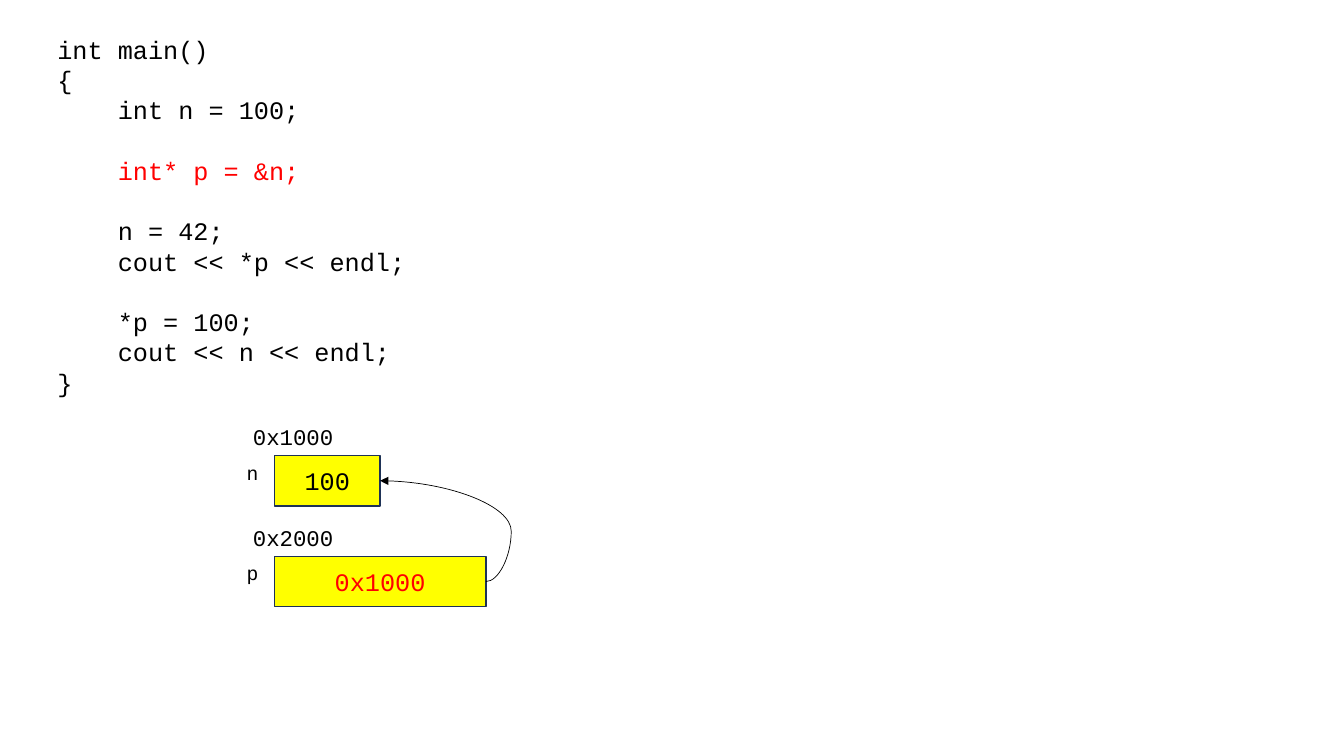
from lxml import etree
from pptx import Presentation
from pptx.dml.color import RGBColor
from pptx.enum.shapes import MSO_CONNECTOR, MSO_SHAPE
from pptx.enum.text import MSO_ANCHOR, PP_ALIGN
from pptx.oxml.ns import qn
from pptx.util import Inches, Pt

BLACK = RGBColor(0, 0, 0)
RED = RGBColor(0xFF, 0, 0)
YELLOW = RGBColor(0xFF, 0xFF, 0)
NAVY = RGBColor(0x1E, 0x32, 0x56)
FONT = "Courier New"
RIGHT_SIDE = 3
INDENT = Inches(0.6)
BLANK_LINE = Pt(21.6)

CODE = [
    ("int main()", 0, False, BLACK),
    ("{", 0, False, BLACK),
    ("int n = 100;", 1, False, BLACK),
    ("int* p = &n;", 1, True, RED),
    ("n = 42;", 1, True, BLACK),
    ("cout << *p << endl;", 1, False, BLACK),
    ("*p = 100;", 1, True, BLACK),
    ("cout << n << endl;", 1, False, BLACK),
    ("}", 0, False, BLACK),
]


def write(paragraph, text, size, color=BLACK, align=PP_ALIGN.LEFT):
    paragraph.text = text
    paragraph.alignment = align
    font = paragraph.runs[0].font
    font.name, font.size = FONT, Pt(size)
    font.color.rgb = color


def add_label(slide, box, text, size, align=PP_ALIGN.LEFT):
    frame = slide.shapes.add_textbox(*map(Inches, box)).text_frame
    frame.word_wrap = True
    write(frame.paragraphs[0], text, size, align=align)


def add_code(slide, box):
    frame = slide.shapes.add_textbox(*map(Inches, box)).text_frame
    frame.word_wrap = True
    for number, (text, level, gap, color) in enumerate(CODE):
        line = frame.add_paragraph() if number else frame.paragraphs[0]
        write(line, text, 18, color)
        if level:
            line._p.get_or_add_pPr().set("marL", str(level * INDENT))
        if gap:
            line.space_before = BLANK_LINE


def add_variable(slide, box, name, address, value, color):
    left, top, width, height = box
    cell = slide.shapes.add_shape(MSO_SHAPE.RECTANGLE, *map(Inches, box))
    cell.shadow.inherit = False
    cell.fill.solid()
    cell.fill.fore_color.rgb = YELLOW
    cell.line.color.rgb = NAVY
    cell.line.width = Pt(1)
    cell.text_frame.vertical_anchor = MSO_ANCHOR.MIDDLE
    write(cell.text_frame.paragraphs[0], value, 18, color, PP_ALIGN.CENTER)
    add_label(slide, (left - 0.42, top, 0.41, 0.34), name, 14, PP_ALIGN.CENTER)
    add_label(slide, (left - 0.31, top - 0.37, 1.12, 0.37), address, 16)
    return cell


def add_pointer(slide, source, target):
    arrow = slide.shapes.add_connector(MSO_CONNECTOR.CURVE, 0, 0, 0, 0)
    arrow.begin_connect(source, RIGHT_SIDE)
    arrow.end_connect(target, RIGHT_SIDE)
    arrow.line.color.rgb = BLACK
    arrow.line.width = Pt(0.5)
    properties = arrow._element.spPr
    bends = properties.find(qn("a:prstGeom")).get_or_add_avLst()
    etree.SubElement(bends, qn("a:gd"), name="adj1", fmla="val -23900")
    etree.SubElement(properties.find(qn("a:ln")), qn("a:tailEnd"), type="triangle")
    etree.SubElement(properties, qn("a:effectLst"))


def add_memory(slide, box):
    left, top, width, height = box
    n_cell = add_variable(slide, (left, top, width / 2, height), "n", "0x1000", "100", BLACK)
    p_cell = add_variable(slide, (left, top + 1, width, height), "p", "0x2000", "0x1000", RED)
    add_pointer(slide, p_cell, n_cell)


deck = Presentation()
deck.slide_width, deck.slide_height = Inches(13.33), Inches(7.5)
pointer_slide = deck.slides.add_slide(deck.slide_layouts[6])
add_code(pointer_slide, (0.47, 0.29, 6.11, 3.74))
add_memory(pointer_slide, (2.72, 4.52, 2.1, 0.5))
deck.save("out.pptx")
